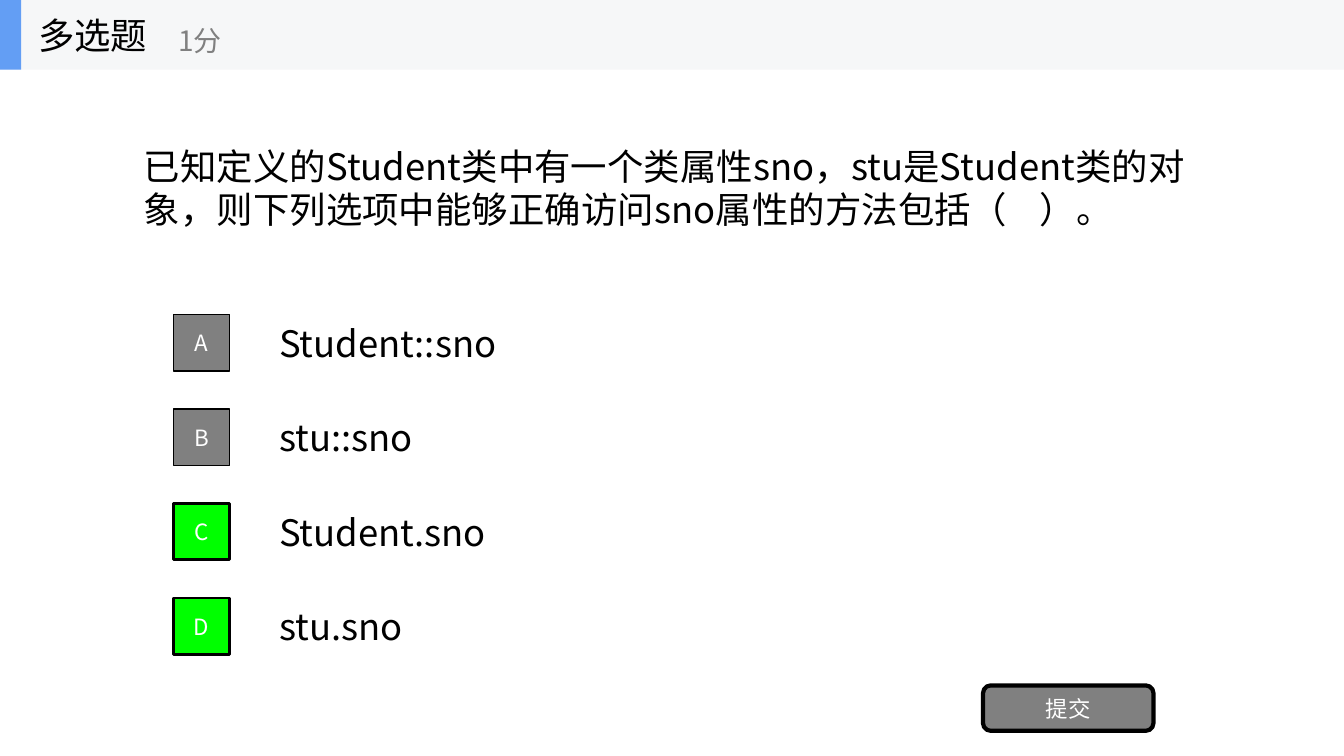
from pptx import Presentation
from pptx.dml.color import RGBColor
from pptx.enum.shapes import MSO_SHAPE
from pptx.enum.text import MSO_ANCHOR, PP_ALIGN
from pptx.oxml.ns import qn
from pptx.util import Inches, Pt
from lxml import etree

RECT, ROUND = MSO_SHAPE.RECTANGLE, MSO_SHAPE.ROUNDED_RECTANGLE
MIDDLE = MSO_ANCHOR.MIDDLE
LEFT, CENTER = PP_ALIGN.LEFT, PP_ALIGN.CENTER
FONT = "Noto Sans CJK SC"
COLORS = {"black": "000000", "white": "FFFFFF", "gray": "808080",
          "green": "00FF00", "pale": "F6F7F8", "blue": "639EF4"}

prs = Presentation()
prs.slide_width, prs.slide_height = Inches(13.33), Inches(7.5)
slide = prs.slides.add_slide(prs.slide_layouts[6])


def write(shape, text, size, color, align=LEFT, wrap=True):
    frame = shape.text_frame
    frame.word_wrap = wrap
    frame.vertical_anchor = MIDDLE
    para = frame.paragraphs[0]
    para.alignment = align
    run = para.add_run()
    run.text = text
    style = {"size": Pt(size), "name": FONT}
    for key, value in style.items():
        setattr(run.font, key, value)
    run.font.color.rgb = RGBColor.from_string(COLORS[color])
    # Chinese characters take their font from a:ea
    east = etree.SubElement(run.font._element, qn("a:ea"))
    east.set("typeface", FONT)


def block(shapes, kind, box, fill, line=0):
    shape = shapes.add_shape(kind, *map(Inches, box))
    shape.shadow.inherit = False
    shape.fill.solid()
    shape.fill.fore_color.rgb = RGBColor.from_string(COLORS[fill])
    if line:
        shape.line.color.rgb = RGBColor.from_string(COLORS["black"])
        shape.line.width = Pt(line)
    else:
        shape.line.fill.background()
    return shape


# Question
box = slide.shapes.add_textbox(*map(Inches, (1.33, 0.69, 10.67, 2.34)))
write(box, "已知定义的Student类中有一个类属性sno，stu是Student类的对象，"
      "则下列选项中能够正确访问sno属性的方法包括（    ）。", 26, "black")

# Answers, with the right ones in green
answers = [("A", "Student::sno", False), ("B", "stu::sno", False),
           ("C", "Student.sno", True), ("D", "stu.sno", True)]
for row, (letter, text, right) in enumerate(answers):
    top = 3.05 + row * 0.9375
    box = slide.shapes.add_textbox(*map(Inches, (2.67, top, 9.33, 0.7)))
    write(box, text, 26, "black")
    key = block(slide.shapes, RECT, (1.72, top + 0.07, 0.56, 0.56),
                "green" if right else "gray", 2 if right else 1)
    write(key, letter, 16, "white", CENTER)

# Submit button
button = block(slide.shapes, ROUND, (9.75, 6.8, 1.69, 0.45), "gray", 3)
write(button, "提交", 16, "white", CENTER)

# Header bar
header = slide.shapes.add_group_shape().shapes
block(header, RECT, (0, 0, 13.33, 0.69), "pale")
block(header, RECT, (0, 0, 0.21, 0.69), "blue")
labels = [("多选题", (0.28, 0, 2.08, 0.69), 26, "black"),
          ("1分", (1.67, 0.12, 2.5, 0.56), 20, "gray")]
for text, place, size, color in labels:
    box = header.add_textbox(*map(Inches, place))
    write(box, text, size, color, wrap=False)

prs.save("out.pptx")
